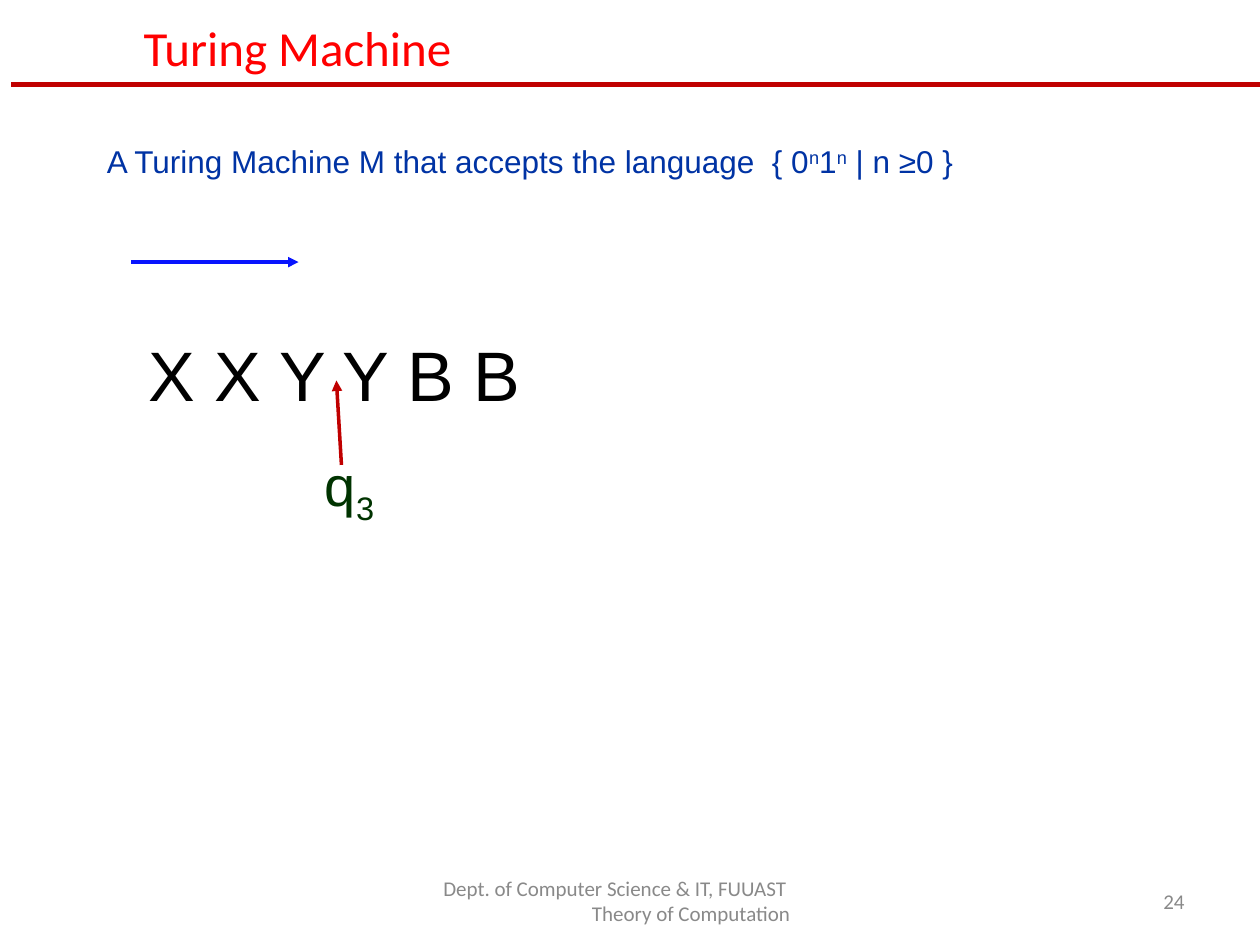
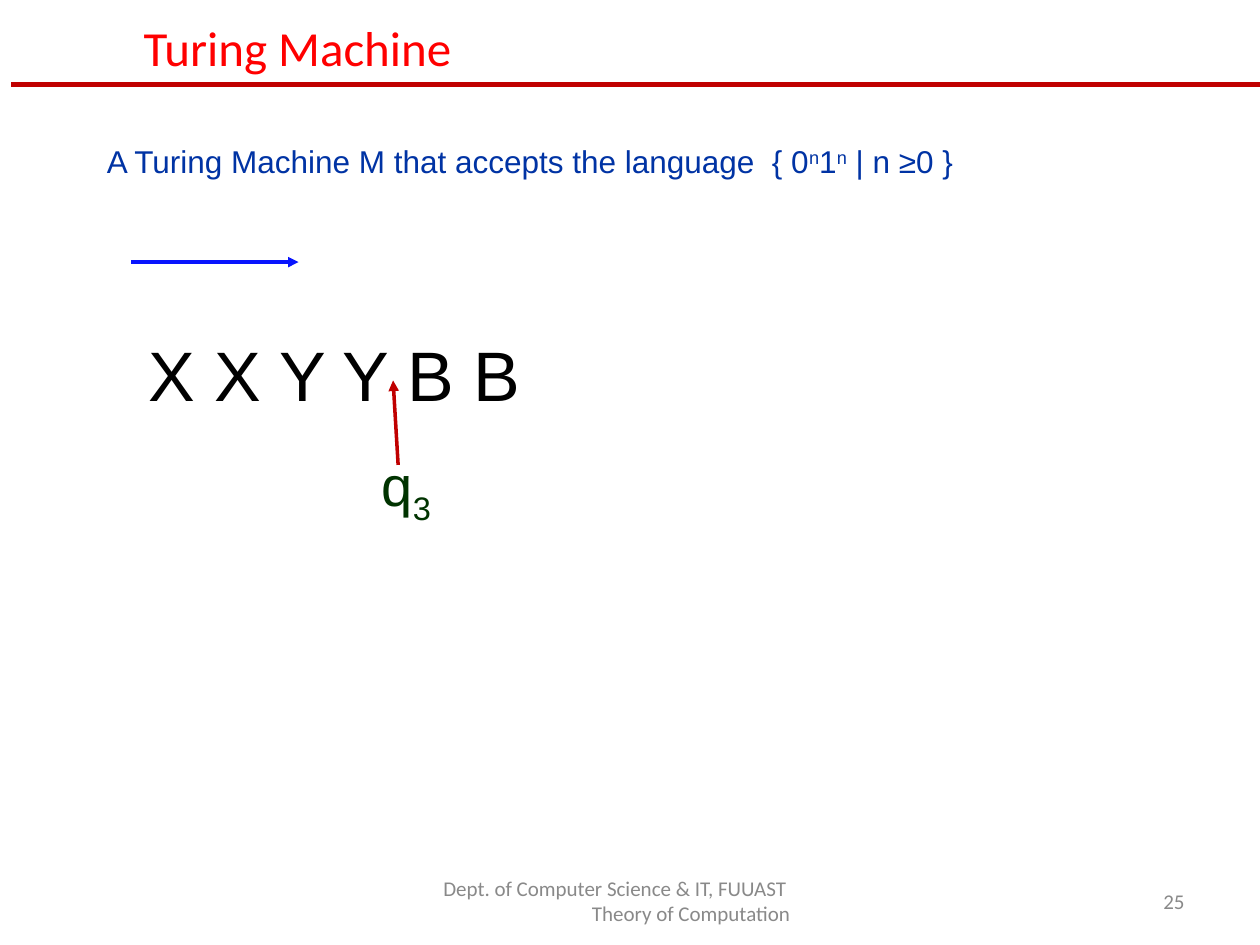
from dataclasses import dataclass

from pptx import Presentation
from pptx import util as u
from pptx.dml.color import RGBColor
from pptx.enum import shapes, text
from pptx.oxml import ns, xmlchemy as xc

HUES = {
    "title": "FF0000",
    "rule": "C00000",
    "claim": "0033A4",
    "move": "0814FE",
    "tape": "000000",
    "state": "003300",
    "foot": "898989",
}
STEP = 0.45  # distance the head moves per slide


@dataclass
class Style:
    font: str
    size: float
    hue: str


@dataclass
class Run:
    text: str
    base: int = 0  # baseline shift in percent


@dataclass
class Line:
    start: tuple[float, float]
    end: tuple[float, float]
    hue: str
    width: float
    arrow: bool = True


@dataclass
class Step:
    page: int
    shift: float


TITLE = Style("Calibri", 28, "title")
CLAIM = Style("Arial", 18, "claim")
TAPE = Style("Arial", 40, "tape")
STATE = Style("Arial", 32, "state")
FOOT = Style("Calibri", 12, "foot")

RULE = Line((0.09, 0.67), (10, 0.67), "rule", 3.25, arrow=False)
MOVE = Line((1.04, 2.08), (2.37, 2.08), "move", 2)
LANG = [
    Run("A Turing Machine M that accepts the language  { 0"),
    Run("n", 30), Run("1"), Run("n", 30), Run(" | n ≥0 }"),
]
STEPS = [Step(24 + i, i * STEP) for i in range(2)]


def color(hue: str) -> RGBColor:
    return RGBColor.from_string(HUES[hue])


def write(para, runs: list[Run], style: Style) -> None:
    for part in runs:
        run = para.add_run()
        run.text = part.text
        run.font.name = style.font
        run.font.size = u.Pt(style.size)
        run.font.color.rgb = color(style.hue)
        if part.base:
            run.font._element.set("baseline", str(part.base * 1000))


def add_text(slide, at: tuple, runs: list[Run], style: Style,
             wrap: bool = True, mid: bool = False):
    """Add a text box and return its frame."""
    frame = slide.shapes.add_textbox(*map(u.Inches, at)).text_frame
    frame.word_wrap = wrap
    if mid:
        frame.vertical_anchor = text.MSO_ANCHOR.MIDDLE
    else:
        frame.auto_size = text.MSO_AUTO_SIZE.SHAPE_TO_FIT_TEXT
    write(frame.paragraphs[0], runs, style)
    return frame


def add_line(slide, line: Line, shift: float = 0) -> None:
    (x1, y1), (x2, y2) = line.start, line.end
    ends = [u.Inches(v) for v in (x1 + shift, y1, x2 + shift, y2)]
    link = slide.shapes.add_connector(shapes.MSO_CONNECTOR.STRAIGHT, *ends)
    link.line.color.rgb = color(line.hue)
    link.line.width = u.Pt(line.width)
    if line.arrow:
        tail = xc.OxmlElement("a:tailEnd")
        tail.set("type", "triangle")
        link.line._get_or_add_ln().append(tail)
    link._element.spPr.append(xc.OxmlElement("a:effectLst"))


def add_title(slide, words: str) -> None:
    box = slide.shapes.title
    box.left, box.top, box.width, box.height = map(
        u.Inches, (1.04, 0.17, 6.87, 0.41))
    frame = box.text_frame
    frame.auto_size = text.MSO_AUTO_SIZE.NONE
    frame.vertical_anchor = text.MSO_ANCHOR.MIDDLE
    para = frame.paragraphs[0]
    para.alignment = text.PP_ALIGN.LEFT
    write(para, [Run(words)], TITLE)


def add_foot(slide, page: int) -> None:
    frame = add_text(slide, (3.42, 6.95, 3.17, 0.4),
                     [Run("Dept. of Computer Science & IT, FUUAST")],
                     FOOT, mid=True)
    para = frame.add_paragraph()
    para._p.get_or_add_pPr().set("marL", str(u.Inches(1.18)))
    write(para, [Run("Theory of Computation")], FOOT)
    frame = add_text(slide, (7.17, 6.95, 2.33, 0.4), [Run(str(page))],
                     FOOT, mid=True)
    frame.paragraphs[0].alignment = text.PP_ALIGN.RIGHT


def add_head(slide, shift: float) -> None:
    """Mark the machine's state below the tape."""
    add_text(slide, (2.48 + shift, 3.53, 0.59, 0.71),
             [Run("q"), Run("3", -25)], STATE, wrap=False)
    add_line(slide, Line((2.71, 3.69), (2.67, 3.02), "rule", 2), shift)


def build(deck, step: Step) -> None:
    slide = deck.slides.add_slide(deck.slide_layouts.get_by_name("Title Only"))
    # Shared frame
    add_title(slide, "Turing Machine")
    add_foot(slide, step.page)
    add_line(slide, RULE)
    # Language and direction of travel
    add_text(slide, (0.75, 1.08, 8.75, 0.4), LANG, CLAIM)
    add_line(slide, MOVE)
    # Tape and head
    add_text(slide, (1.08, 2.58, 3.5, 0.77), [Run("X X Y Y B B")], TAPE)
    add_head(slide, step.shift)


def main() -> None:
    deck = Presentation()
    deck.slide_width, deck.slide_height = u.Inches(10), u.Inches(7.5)
    for step in STEPS:
        build(deck, step)
    deck.save("out.pptx")


if __name__ == "__main__":
    main()
